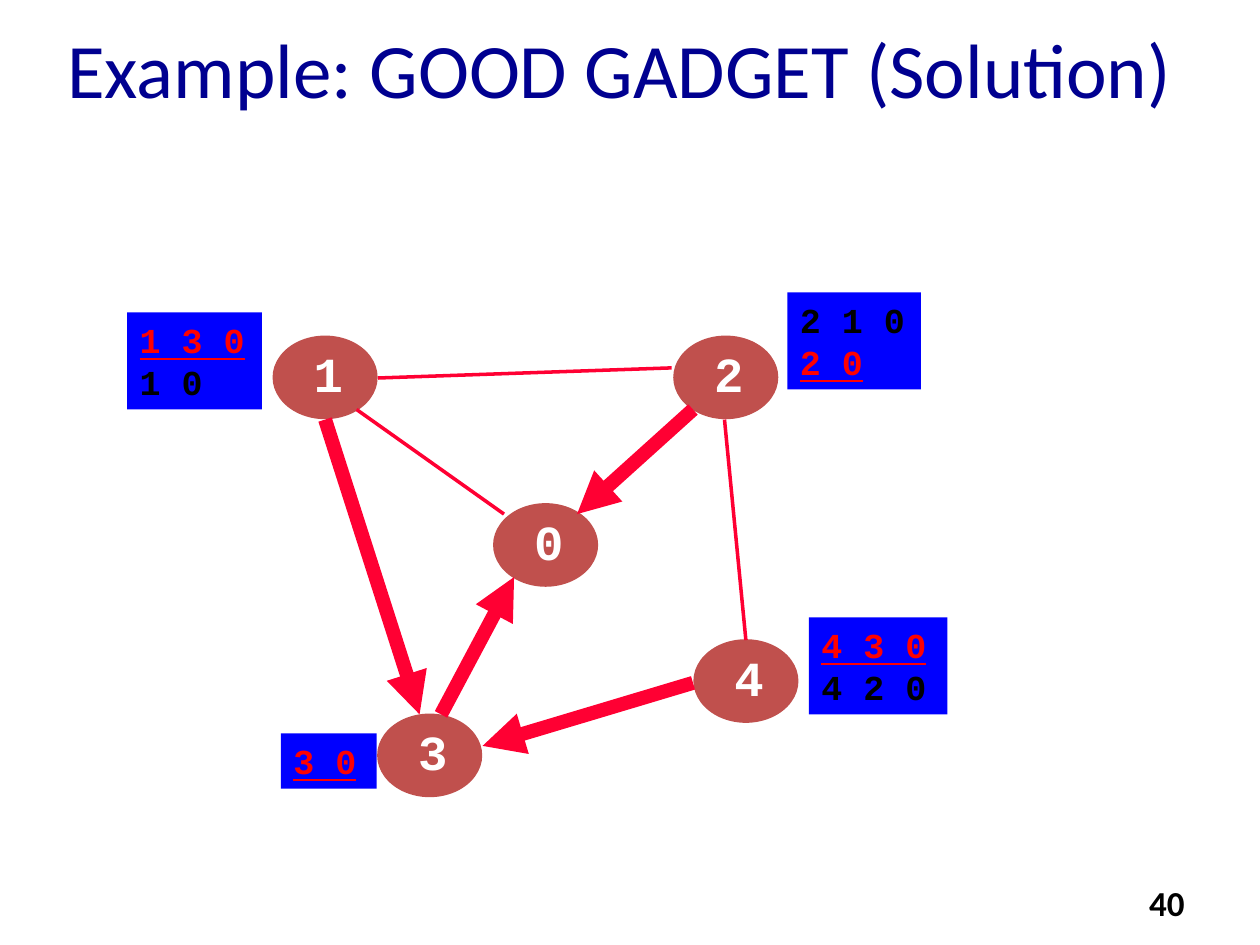
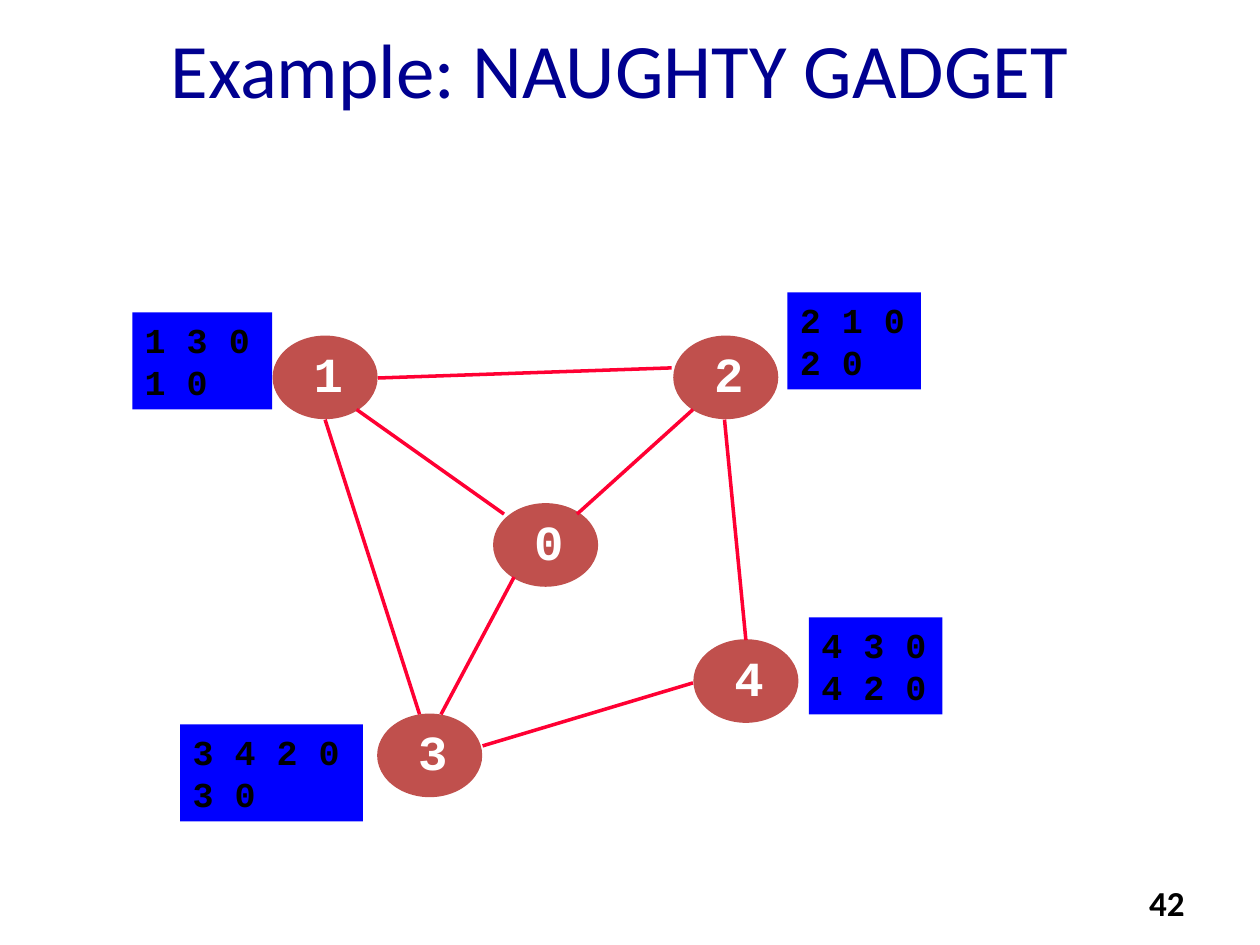
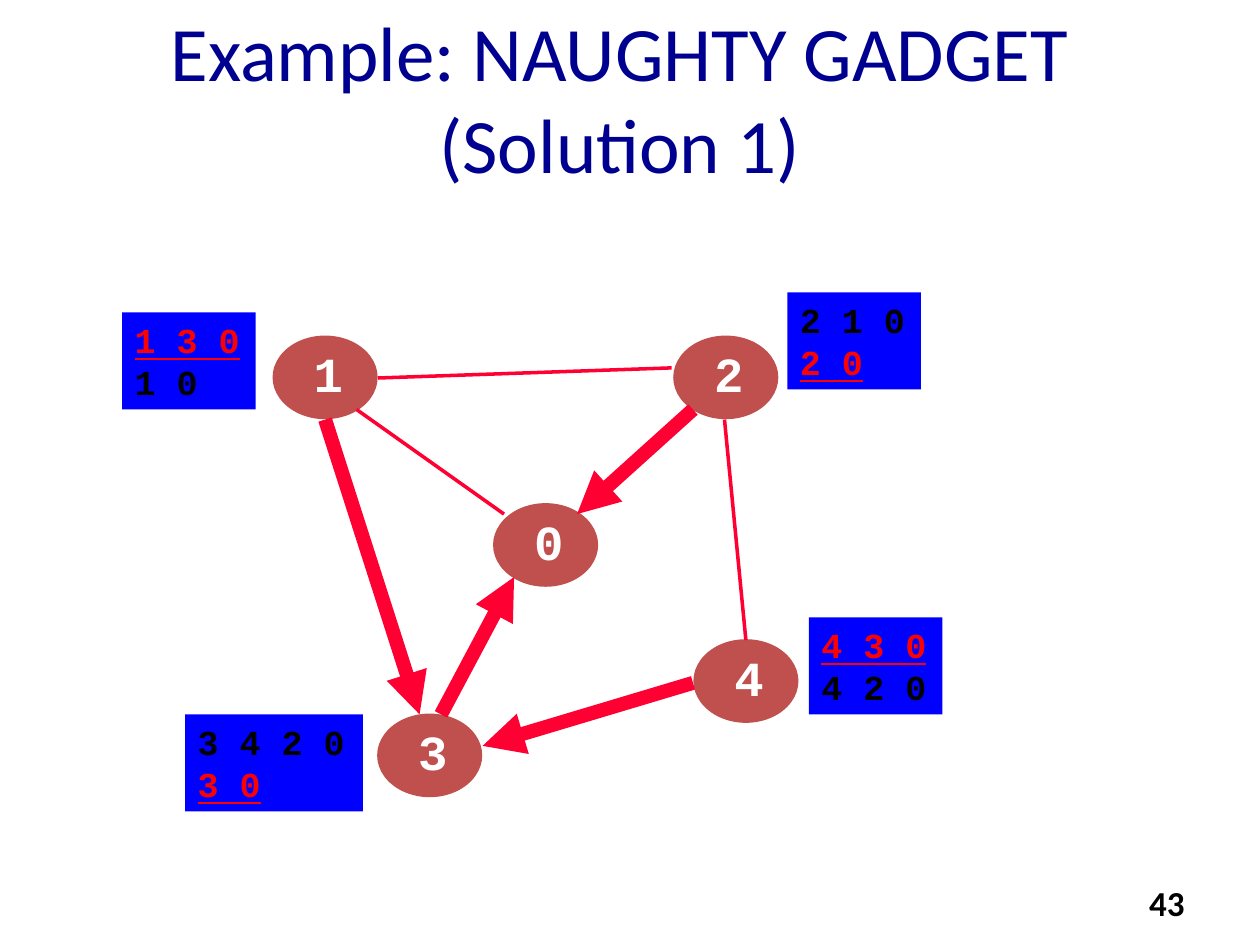
from dataclasses import dataclass

from lxml import etree
from pptx import Presentation
from pptx.dml.color import RGBColor
from pptx.enum.shapes import MSO_CONNECTOR, MSO_SHAPE
from pptx.enum.text import MSO_ANCHOR, MSO_AUTO_SIZE, PP_ALIGN
from pptx.oxml.ns import qn
from pptx.util import Emu, Pt

EMU_PER_PX = 9144
SLIDE_WIDTH, SLIDE_HEIGHT = 1000, 750
TITLE_ONLY = 5

COLORS = {
    "title": "000090",
    "text": "000000",
    "node": "C0504D",
    "node_text": "FFFFFF",
    "edge": "FF0033",
    "paths": "0000FF",
    "chosen": "FF0000",
}
BODY_FONT = "Calibri"
CODE_FONT = "Courier New"


@dataclass(frozen=True)
class Node:
    name: str
    left: int
    top: int


@dataclass(frozen=True)
class Edge:
    start: tuple[int, int]
    end: tuple[int, int]
    arrow: str = ""  # line end that carries the arrowhead in a solution


@dataclass(frozen=True)
class PathList:
    left: int
    top: int
    width: int
    paths: tuple[str, ...]
    chosen: str


@dataclass(frozen=True)
class Gadget:
    title: str
    title_height: int
    number: int
    solved: bool
    path_lists: tuple[PathList, ...]


NODES = (
    Node("1", 217, 267),
    Node("2", 535, 267),
    Node("4", 551, 508),
    Node("3", 300, 567),
    Node("0", 392, 400),
)
EDGES = (
    Edge((283, 325), (400, 408)),
    Edge((300, 300), (533, 292)),
    Edge((458, 408), (550, 325), "headEnd"),
    Edge((592, 508), (575, 333)),
    Edge((333, 567), (258, 333), "headEnd"),
    Edge((550, 542), (383, 592), "tailEnd"),
    Edge((350, 567), (408, 458), "tailEnd"),
)


def path_lists(left_1: int, width_1: int, width_4: int,
               node_3: PathList) -> tuple[PathList, ...]:
    """Path lists of nodes 2, 1, 4 and 3; only some of them vary by slide."""
    return (
        PathList(625, 232, 106, ("2 1 0", "2 0"), "2 0"),
        PathList(left_1, 248, width_1, ("1 3 0", "1 0"), "1 3 0"),
        PathList(642, 490, width_4, ("4 3 0", "4 2 0"), "4 3 0"),
        node_3,
    )


NAUGHTY_PATHS = ("3 4 2 0", "3 0")
GADGETS = (
    Gadget("Example: GOOD GADGET (Solution)", 42, 40, True,
           path_lists(101, 107, 110, PathList(223, 582, 76, ("3 0",), "3 0"))),
    Gadget("Example: NAUGHTY GADGET", 42, 42, False,
           path_lists(105, 111, 106, PathList(143, 575, 145, NAUGHTY_PATHS, "3 0"))),
    Gadget("Example: NAUGHTY GADGET (Solution 1)", 87, 43, True,
           path_lists(97, 106, 106, PathList(147, 567, 141, NAUGHTY_PATHS, "3 0"))),
)


def px(*lengths: int) -> list[Emu]:
    return [Emu(length * EMU_PER_PX) for length in lengths]


def rgb(name: str) -> RGBColor:
    return RGBColor.from_string(COLORS[name])


def add_run(paragraph, text: str, font_name: str, size: int, color: str,
            bold: bool = False, underline: bool = False) -> None:
    run = paragraph.add_run()
    run.text = text
    run.font.name = font_name
    run.font.size = Pt(size)
    run.font.bold = bold
    run.font.underline = underline
    run.font.color.rgb = rgb(color)


def add_title(slide, text: str, height: int) -> None:
    title = slide.shapes.title
    title.left, title.top, title.width, title.height = px(17, 33, 950, height)
    frame = title.text_frame
    frame.auto_size = MSO_AUTO_SIZE.NONE
    frame.word_wrap = True
    frame.vertical_anchor = MSO_ANCHOR.MIDDLE
    paragraph = frame.paragraphs[0]
    paragraph.alignment = PP_ALIGN.CENTER
    add_run(paragraph, text, BODY_FONT, 44, "title")


def add_slide_number(slide, number: int) -> None:
    frame = slide.shapes.add_textbox(*px(717, 695, 233, 40)).text_frame
    frame.word_wrap = True
    paragraph = frame.paragraphs[0]
    paragraph.alignment = PP_ALIGN.RIGHT
    add_run(paragraph, str(number), BODY_FONT, 20, "text", bold=True)


def add_node(slide, node: Node) -> None:
    group = slide.shapes.add_group_shape()
    ellipse = group.shapes.add_shape(MSO_SHAPE.OVAL, *px(node.left, node.top, 82, 65))
    ellipse.shadow.inherit = False
    ellipse.fill.solid()
    ellipse.fill.fore_color.rgb = rgb("node")
    ellipse.line.color.rgb = rgb("node")
    ellipse.line.width = Pt(1)
    label = group.shapes.add_textbox(*px(node.left + 22, node.top + 1, 42, 57))
    frame = label.text_frame
    frame.word_wrap = False
    frame.auto_size = MSO_AUTO_SIZE.SHAPE_TO_FIT_TEXT
    add_run(frame.paragraphs[0], node.name, CODE_FONT, 28, "node_text", bold=True)


def add_edge(slide, edge: Edge, solved: bool) -> None:
    on_route = solved and bool(edge.arrow)
    connector = slide.shapes.add_connector(
        MSO_CONNECTOR.STRAIGHT, *px(*edge.start, *edge.end))
    connector.line.color.rgb = rgb("edge")
    connector.line.width = Pt(8 if on_route else 2)
    if on_route:
        line = connector.line._get_or_add_ln()
        etree.SubElement(line, qn(f"a:{edge.arrow}")).set("type", "triangle")
    etree.SubElement(connector._element.spPr, qn("a:effectLst"))


def add_path_list(slide, path_list: PathList, solved: bool) -> None:
    height = 11 + 33 * len(path_list.paths)
    box = slide.shapes.add_textbox(
        *px(path_list.left, path_list.top, path_list.width, height))
    box.fill.solid()
    box.fill.fore_color.rgb = rgb("paths")
    frame = box.text_frame
    frame.word_wrap = True
    frame.auto_size = MSO_AUTO_SIZE.SHAPE_TO_FIT_TEXT
    for index, route in enumerate(path_list.paths):
        paragraph = frame.add_paragraph() if index else frame.paragraphs[0]
        chosen = solved and route == path_list.chosen
        add_run(paragraph, route, CODE_FONT, 20, "chosen" if chosen else "text",
                bold=True, underline=chosen)


def add_gadget_slide(presentation, gadget: Gadget) -> None:
    slide = presentation.slides.add_slide(presentation.slide_layouts[TITLE_ONLY])
    add_slide_number(slide, gadget.number)
    add_title(slide, gadget.title, gadget.title_height)
    for node in NODES:
        add_node(slide, node)
    for edge in EDGES:
        add_edge(slide, edge, gadget.solved)
    for path_list in gadget.path_lists:
        add_path_list(slide, path_list, gadget.solved)


def main() -> None:
    presentation = Presentation()
    presentation.slide_width, presentation.slide_height = px(SLIDE_WIDTH, SLIDE_HEIGHT)
    for gadget in GADGETS:
        add_gadget_slide(presentation, gadget)
    presentation.save("out.pptx")


if __name__ == "__main__":
    main()
